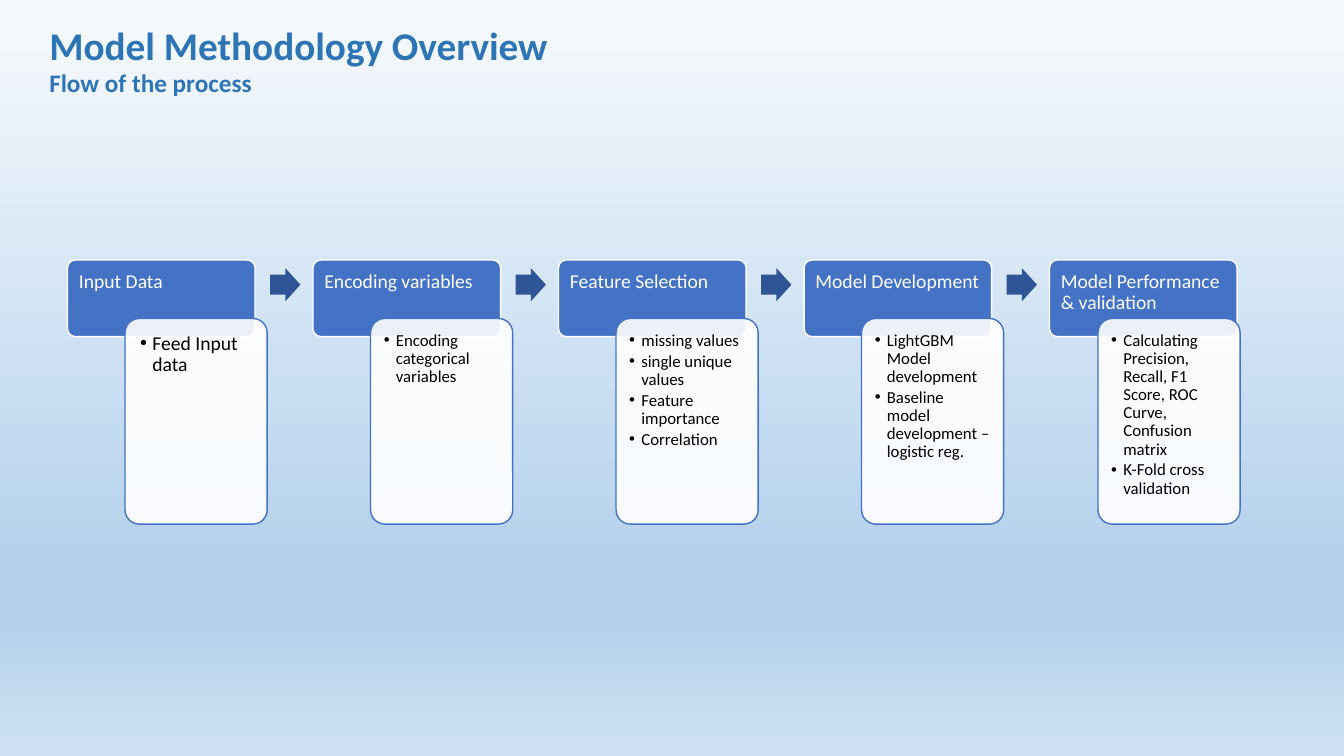
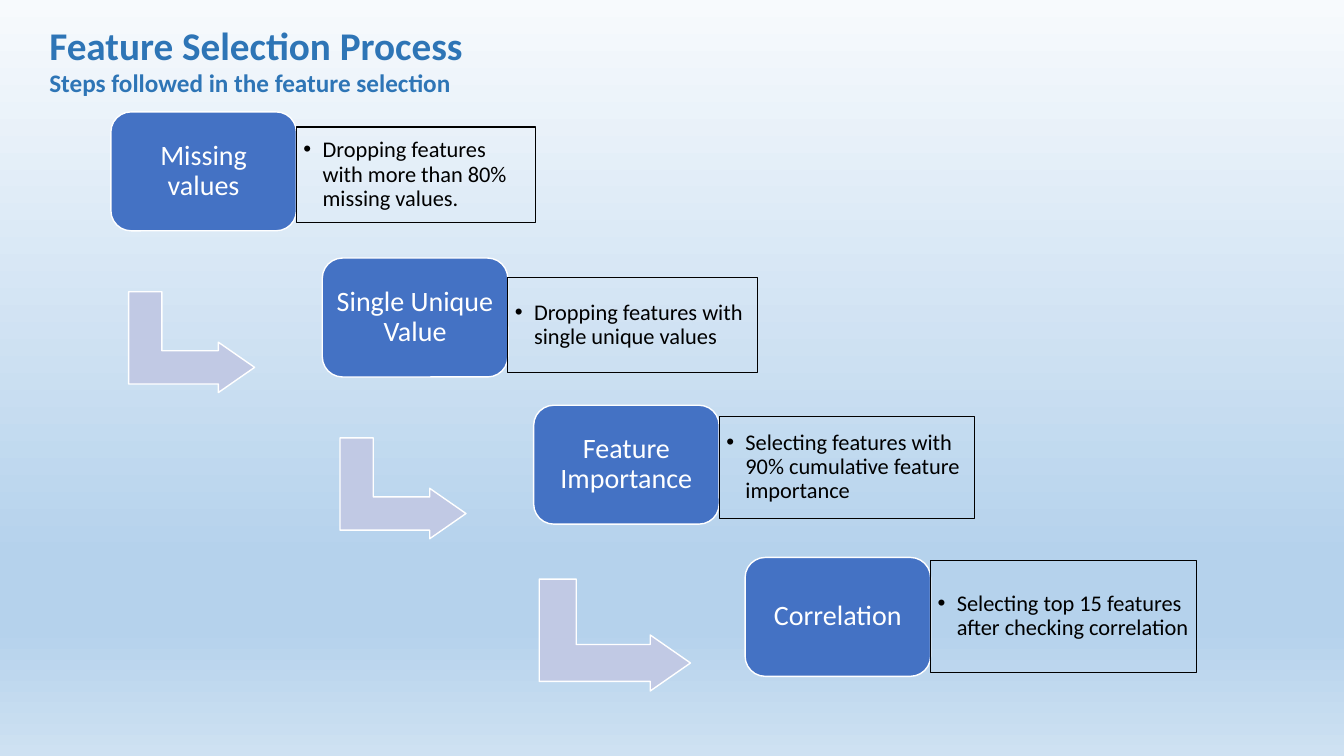
from lxml import etree
from pptx import Presentation, util as u
from pptx.dml.color import RGBColor
from pptx.enum import shapes, text
from pptx.oxml.ns import qn

# Shared look
FONT = "Calibri"
BLUE, NAVY, PALE, HEADING = "4472C4", "2F5597", "C1C9E4", "2E75B6"
WHITE, BLACK = "FFFFFF", "000000"
BACKDROP = [(0, "F7FAFD"), (74, "B5D2EC"), (83, "B5D2EC"), (100, "CEE1F2")]
KIND = shapes.MSO_SHAPE
TOP, MIDDLE = text.MSO_ANCHOR.TOP, text.MSO_ANCHOR.MIDDLE
LEFT, CENTER = text.PP_ALIGN.LEFT, text.PP_ALIGN.CENTER

# Slide 1: heading, bullets, bullet size, card inset, card offset from its header
FLOW_TITLE = ("Model Methodology Overview", "Flow of the process")
FLOW = [
    ("Input Data", ["Feed Input data"], 14, 0.11, 0.57),
    ("Encoding variables", ["Encoding categorical variables"], 12, 0.09, 0.57),
    ("Feature Selection",
     ["missing values", "single unique values", "Feature importance", "Correlation"],
     12, 0.09, 0.57),
    ("Model Development",
     ["LightGBM Model development", "Baseline model development – logistic reg."],
     12, 0.09, 0.57),
    ("Model Performance & validation",
     ["Calculating Precision, Recall, F1 Score, ROC Curve, Confusion matrix",
      "K-Fold cross validation"], 12, 0.09, 0.48),
]
FLOW_LEFT, FLOW_TOP, FLOW_PITCH = 0.67, 2.58, 9.74 / 4

# Slide 2: step, top, note, note (top, width, height),
# elbow arrow (x and y offset from the step, width, height)
STEPS_TITLE = ("Feature Selection Process", "Steps followed in the feature selection")
STEPS = [
    ("Missing values", 1.11, "Dropping features with more than 80% missing values.",
     (1.26, 2.37, 0.95), (0.3, 1.66, 1, 1.25)),
    ("Single Unique Value", 2.56, "Dropping features with single unique values",
     (2.75, 2.48, 0.95), (0.3, 1.66, 1, 1.25)),
    ("Feature Importance", 4.02,
     "Selecting features with 90% cumulative feature importance",
     (4.13, 2.53, 1.01), (0.25, 1.53, 1.11, 1.5)),
    ("Correlation", 5.53, "Selecting top 15 features after checking correlation",
     (5.56, 2.64, 1.11), None),
]
STEP_LEFT, STEP_PITCH, STEP_WIDTH, STEP_HEIGHT = 1.1, 6.29 / 3, 1.84, 1.18


def color(code):
    return RGBColor.from_string(code)


def paint_backdrop(master):
    fill = master.background.fill
    fill.gradient()
    fill.gradient_angle = 270
    stops = next(master.element.iter(qn("a:gsLst")))
    for stop in list(stops):
        stops.remove(stop)
    for share, code in BACKDROP:
        stop = etree.SubElement(stops, qn("a:gs"), pos=str(share * 1000))
        etree.SubElement(stop, qn("a:srgbClr"), val=code)


def set_bullet(para, indent):
    props = para._p.get_or_add_pPr()
    props.set("marL", str(u.Inches(indent)))
    props.set("indent", str(-u.Inches(indent)))
    etree.SubElement(props, qn("a:buFont"), typeface="Arial")
    etree.SubElement(props, qn("a:buChar"), char="•")


def write(box, lines, size, ink, inset, anchor=TOP, align=LEFT, bold=False,
          spacing=0.9, indent=None):
    frame = box.text_frame
    frame.word_wrap = True
    frame.auto_size = text.MSO_AUTO_SIZE.NONE
    frame.vertical_anchor = anchor
    frame.margin_left = frame.margin_right = u.Inches(inset[0])
    frame.margin_top = frame.margin_bottom = u.Inches(inset[1])
    for number, line in enumerate(lines):
        para = frame.add_paragraph() if number else frame.paragraphs[0]
        para.alignment = align
        para.line_spacing = spacing
        para.space_before = u.Pt(0)
        para.space_after = u.Pt(2 if number < len(lines) - 1 else 0)
        if indent:
            set_bullet(para, indent)
        span = para.add_run()
        span.text = line
        span.font.name, span.font.size, span.font.bold = FONT, u.Pt(size), bold
        span.font.color.rgb = color(ink)


def add_shape(page, kind, at, fill=None, line=None, width=1, adjust=(), opacity=None):
    shape = page.shapes.add_shape(kind, *map(u.Inches, at))
    shape.shadow.inherit = False
    for number, value in enumerate(adjust):
        shape.adjustments[number] = value
    if fill:
        shape.fill.solid()
        shape.fill.fore_color.rgb = color(fill)
    else:
        shape.fill.background()
    if opacity:
        tint = next(shape.element.spPr.iter(qn("a:srgbClr")))
        etree.SubElement(tint, qn("a:alpha"), val=str(opacity * 1000))
    if line:
        shape.line.color.rgb = color(line)
        shape.line.width = u.Pt(width)
    else:
        shape.line.fill.background()
    return shape


def add_page(deck, title, subtitle):
    page = deck.slides.add_slide(deck.slide_layouts[5])
    head = page.shapes.title
    head.left, head.top, head.width, head.height = map(u.Inches, (0.39, 0.16, 9.71, 0.57))
    below = page.shapes.add_textbox(*map(u.Inches, (0.39, 0.62, 9.71, 0.4)))
    for box, line, size in ((head, title, 28), (below, subtitle, 18)):
        write(box, [line], size, HEADING, (0.1, 0.05), bold=True, spacing=1.0)
    return page


def build_flow(page):
    for number, (heading, bullets, size, inset, shift) in enumerate(FLOW):
        left = FLOW_LEFT + number * FLOW_PITCH
        header = add_shape(page, KIND.ROUNDED_RECTANGLE, (left, FLOW_TOP, 1.86, 0.76),
                           BLUE, WHITE, adjust=[0.1])
        write(header, [heading], 14, WHITE, (0.09, 0.09))
        card = add_shape(page, KIND.ROUNDED_RECTANGLE,
                         (left + shift, FLOW_TOP + 0.58, 1.41, 2.04),
                         WHITE, BLUE, adjust=[0.1], opacity=90)
        write(card, bullets, size, BLACK, (inset, inset), indent=0.12)
        if number < len(FLOW) - 1:
            add_shape(page, KIND.RIGHT_ARROW, (left + 2.01, FLOW_TOP + 0.08, 0.3, 0.33),
                      NAVY, adjust=[0.6, 0.5])


def build_steps(page):
    for number, (name, top, note, place, elbow) in enumerate(STEPS):
        left = STEP_LEFT + number * STEP_PITCH
        if elbow:
            across, down, width, height = elbow
            arrow = add_shape(page, KIND.BENT_UP_ARROW,
                              (left + across, top + down, width, height),
                              PALE, WHITE, adjust=[0.33, 0.25, 0.36])
            arrow.rotation = 90
        step = add_shape(page, KIND.ROUNDED_RECTANGLE,
                         (left, top, STEP_WIDTH, STEP_HEIGHT), BLUE, WHITE, adjust=[0.17])
        write(step, [name], 20, WHITE, (0.08, 0.08), MIDDLE, CENTER)
        frame = add_shape(page, KIND.RECTANGLE, (left + STEP_WIDTH, *place),
                          line=BLACK, width=0.75)
        write(frame, [note], 16, BLACK, (0.07, 0.07), MIDDLE, indent=0.19)


def main():
    deck = Presentation()
    deck.slide_width, deck.slide_height = u.Inches(13.33), u.Inches(7.5)
    paint_backdrop(deck.slide_master)
    build_flow(add_page(deck, *FLOW_TITLE))
    build_steps(add_page(deck, *STEPS_TITLE))
    deck.save("out.pptx")


if __name__ == "__main__":
    main()
